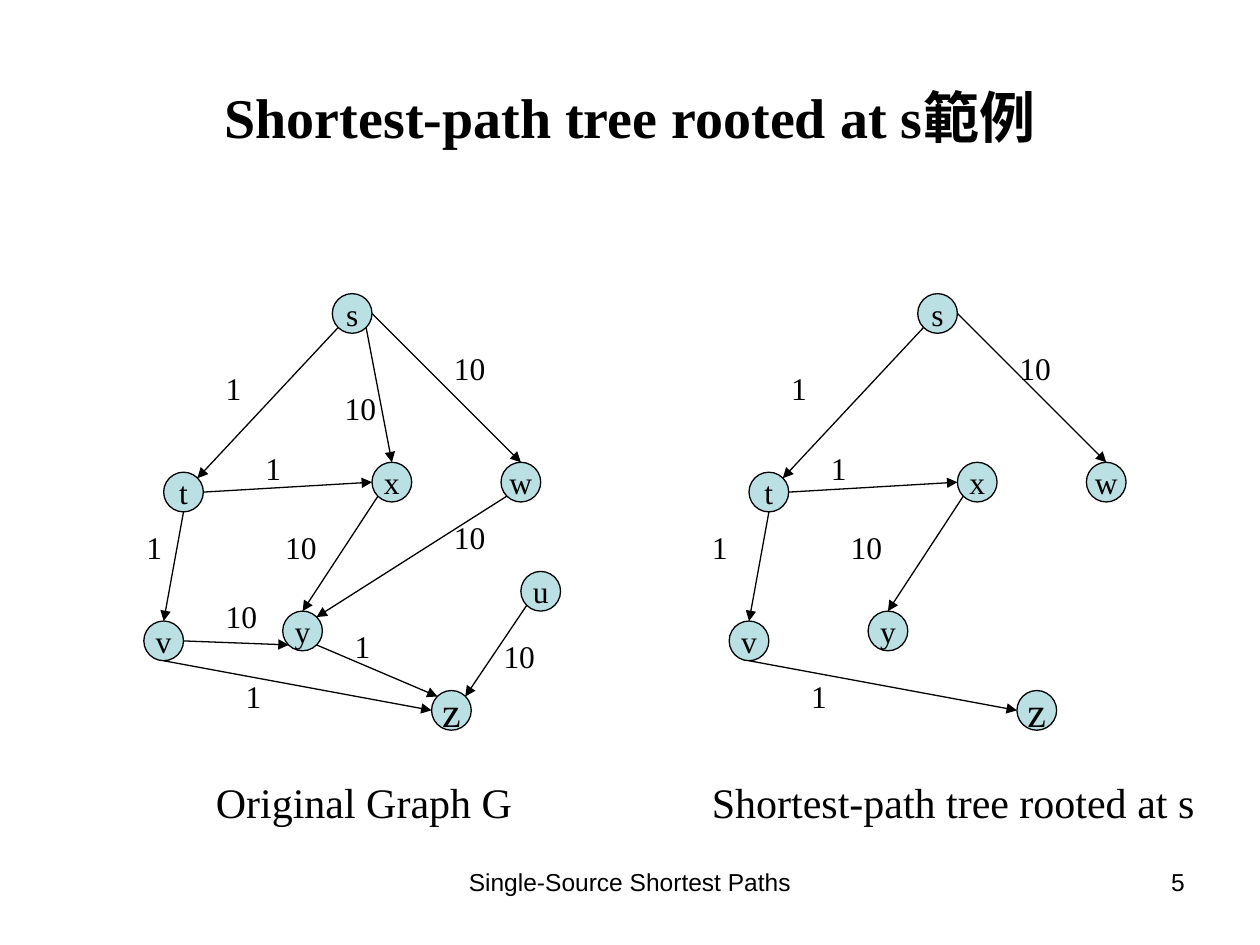
from dataclasses import dataclass

from lxml import etree
from pptx import Presentation
from pptx.dml.color import RGBColor
from pptx.enum.shapes import MSO_CONNECTOR, MSO_SHAPE
from pptx.enum.text import MSO_ANCHOR, PP_ALIGN
from pptx.oxml.ns import qn
from pptx.util import Pt

ELLIPSE = MSO_SHAPE.OVAL
STRAIGHT = MSO_CONNECTOR.STRAIGHT
LEFT, CENTER, RIGHT = PP_ALIGN.LEFT, PP_ALIGN.CENTER, PP_ALIGN.RIGHT
TOP, MIDDLE = MSO_ANCHOR.TOP, MSO_ANCHOR.MIDDLE


@dataclass(frozen=True)
class Theme:
    ink: RGBColor = RGBColor(0x00, 0x00, 0x00)
    node: RGBColor = RGBColor(0xBB, 0xE0, 0xE3)
    serif: str = "Times New Roman"
    sans: str = "Arial"
    title: int = 32
    caption: int = 24
    label: int = 18
    footer: int = 14
    line: float = 0.75


THEME = Theme()

# Graph layout, in grid units from the graph's top left corner
UNIT = 5.67
NODE_SIZE = 4
LABEL_WIDTH = 10
CAPTION_TOP, CAPTION_WIDTH = 48, 52
NODES = {
    "s": (19, 0), "t": (2, 18), "u": (38, 28), "v": (0, 33),
    "w": (36, 17), "x": (23, 17), "y": (14, 32), "z": (29, 40),
}
NODE_TEXT_SIZES = {"z": THEME.caption}

# Points on a node's rim, as fractions of its size
RIM = {
    "N": (0.5, 0), "E": (1, 0.5), "S": (0.5, 1), "W": (0, 0.5),
    "NE": (0.85, 0.15), "SE": (0.85, 0.85), "SW": (0.15, 0.85), "NW": (0.15, 0.15),
}

# (start, rim point, end, rim point, weight, label position)
TREE_EDGES = [
    ("s", "SW", "t", "NE", 1, (7, 7)),
    ("t", "E", "x", "W", 1, (11, 15)),
    ("t", "S", "v", "N", 1, (-1, 23)),
    ("s", "E", "w", "N", 10, (30, 5)),
    ("x", "SW", "y", "N", 10, (13, 23)),
    ("v", "S", "z", "W", 1, (9, 38)),
]
OTHER_EDGES = [
    ("s", "SE", "x", "N", 10, (19, 9)),
    ("w", "SW", "y", "NE", 10, (30, 22)),
    ("v", "E", "y", "SW", 10, (7, 30)),
    ("u", "SW", "z", "NE", 10, (35, 34)),
    ("y", "SE", "z", "NW", 1, (20, 33)),
]


def write_text(shape, text, size, font=THEME.serif, align=LEFT, anchor=TOP,
               wrap=True, bold=False):
    frame = shape.text_frame
    frame.word_wrap = wrap
    frame.vertical_anchor = anchor
    paragraph = frame.paragraphs[0]
    paragraph.text = text
    paragraph.alignment = align
    text_font = paragraph.runs[0].font
    for name, value in {"name": font, "size": Pt(size), "bold": bold}.items():
        setattr(text_font, name, value)
    text_font.color.rgb = THEME.ink


def add_text(slide, box, text, size, **formats):
    shape = slide.shapes.add_textbox(*map(Pt, box))
    write_text(shape, text, size, **formats)


def add_node(slide, left, top, name):
    size = Pt(NODE_SIZE * UNIT)
    shape = slide.shapes.add_shape(ELLIPSE, Pt(left), Pt(top), size, size)
    shape.shadow.inherit = False
    shape.fill.solid()
    shape.fill.fore_color.rgb = THEME.node
    shape.line.color.rgb = THEME.ink
    shape.line.width = Pt(THEME.line)
    write_text(shape, name, NODE_TEXT_SIZES.get(name, THEME.label),
               align=CENTER, anchor=MIDDLE, wrap=False)


def add_arrow(slide, start, end):
    connector = slide.shapes.add_connector(STRAIGHT, *map(Pt, (*start, *end)))
    connector.line.color.rgb = THEME.ink
    connector.line.width = Pt(THEME.line)
    etree.SubElement(connector.line._get_or_add_ln(), qn("a:tailEnd"), type="triangle")
    etree.SubElement(connector._element.spPr, qn("a:effectLst"))


def add_graph(slide, left, top, names, edges, caption, caption_column, label_shift=0):
    def place(column, row):
        return left + column * UNIT, top + row * UNIT

    def rim_point(name, side):
        column, row = NODES[name]
        across, down = RIM[side]
        return place(column + across * NODE_SIZE, row + down * NODE_SIZE)

    # Nodes
    for name in names:
        add_node(slide, *place(*NODES[name]), name)

    # Edges, then their weights on top
    for start, start_side, end, end_side, _, _ in edges:
        add_arrow(slide, rim_point(start, start_side), rim_point(end, end_side))
    for *_, weight, (column, row) in edges:
        box = (*place(column + label_shift, row), LABEL_WIDTH * UNIT, 28.8)
        add_text(slide, box, str(weight), THEME.label)

    # Caption
    box = (*place(caption_column, CAPTION_TOP), CAPTION_WIDTH * UNIT, 36)
    add_text(slide, box, caption, THEME.caption)


def add_title(slide, left, top, width, height):
    title = slide.shapes.title
    box = {"left": left, "top": top, "width": width, "height": height}
    for name, value in box.items():
        setattr(title, name, Pt(value))
    write_text(title, "Shortest-path tree rooted at s範例", THEME.title,
               align=CENTER, anchor=MIDDLE, bold=True)


def add_footer(slide, left, top, width, height):
    text_width, number_width = 228, 168
    add_text(slide, (left + (width - text_width) / 2, top, text_width, height),
             "Single-Source Shortest Paths", THEME.footer, font=THEME.sans, align=CENTER)
    add_text(slide, (left + width - number_width, top, number_width, height),
             "5", THEME.footer, font=THEME.sans, align=RIGHT)


def main():
    presentation = Presentation()
    presentation.slide_width, presentation.slide_height = Pt(720), Pt(540)
    slide = presentation.slides.add_slide(presentation.slide_layouts[5])

    add_title(slide, 36, 21.6, 648, 90)
    add_graph(slide, 82.2, 167.8, "stuvwxyz", TREE_EDGES + OTHER_EDGES,
              "Original Graph G", caption_column=6)
    add_graph(slide, 416.7, 167.8, "stvwxyz", TREE_EDGES,
              "Shortest-path tree rooted at s", caption_column=-3, label_shift=-2)
    add_footer(slide, 36, 491.8, 648, 37.4)

    presentation.save("out.pptx")


if __name__ == "__main__":
    main()
